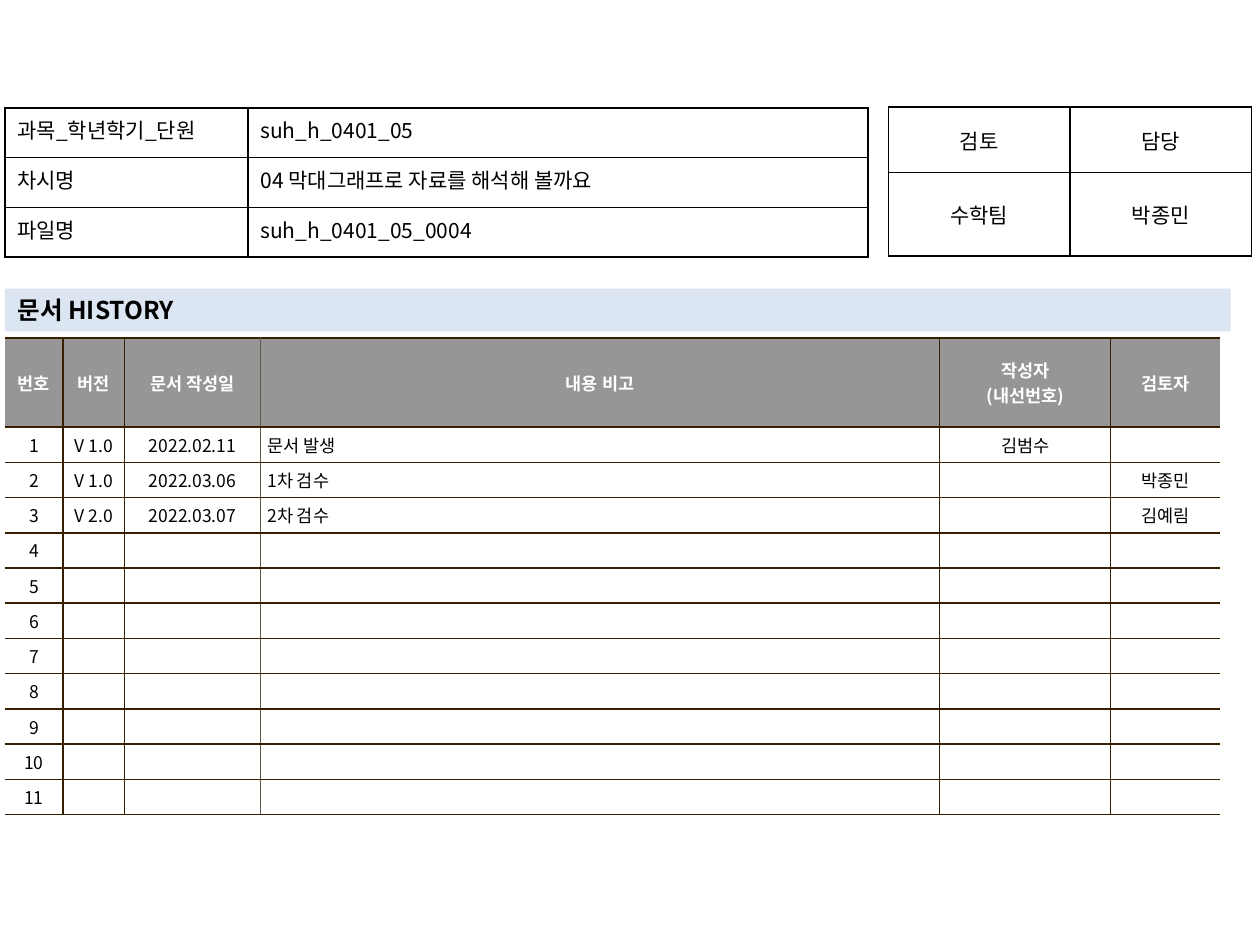
from dataclasses import dataclass

from lxml.etree import SubElement
from pptx import Presentation
from pptx.dml.color import RGBColor
from pptx.enum.text import MSO_ANCHOR, MSO_AUTO_SIZE, PP_ALIGN
from pptx.oxml.ns import qn
from pptx.slide import Slide
from pptx.table import _Cell
from pptx.text.text import _Paragraph
from pptx.util import Cm, Pt

FONT = "Noto Sans CJK KR"
BLACK = RGBColor(0x00, 0x00, 0x00)
WHITE = RGBColor(0xFF, 0xFF, 0xFF)
HEADER_GRAY = RGBColor(0x96, 0x96, 0x96)
BANNER_BLUE = RGBColor(0xDC, 0xE6, 0xF2)
BROWN = RGBColor(0x36, 0x20, 0x00)
TAUPE = RGBColor(0x64, 0x5B, 0x4C)
LEFT, CENTER, JUSTIFY = PP_ALIGN.LEFT, PP_ALIGN.CENTER, PP_ALIGN.JUSTIFY


@dataclass
class CellStyle:
    size: int = 12
    color: RGBColor = BLACK
    bold: bool = False
    fill: RGBColor | None = None
    anchor: MSO_ANCHOR = MSO_ANCHOR.TOP
    margin_x: float = 0.25
    margin_y: float = 0.13


@dataclass
class Grid:
    """A table in centimetres; edges holds one colour (or None) per vertical rule."""
    left: float
    top: float
    columns: list[float]
    rows: list[float]
    texts: list[list[str]]
    alignments: list[PP_ALIGN]
    edges: list[RGBColor | None]
    rule: RGBColor
    body: CellStyle
    header: CellStyle | None = None


def add_text(paragraph: _Paragraph, text: str, size: int, color: RGBColor, bold: bool) -> None:
    run = paragraph.add_run()
    run.text = text
    run.font.size = Pt(size)
    run.font.bold = bold
    run.font.name = FONT
    run.font.color.rgb = color
    SubElement(run.font._element, qn("a:ea"), typeface=FONT)


def set_borders(cell: _Cell, borders: dict[str, RGBColor | None]) -> None:
    properties = cell._tc.get_or_add_tcPr()
    for position, (side, color) in enumerate(borders.items()):
        line = SubElement(properties, qn(f"a:ln{side}"), w=str(Pt(1)))
        if color is None:
            SubElement(line, qn("a:noFill"))
        else:
            solid = SubElement(line, qn("a:solidFill"))
            SubElement(solid, qn("a:srgbClr"), val=str(color))
        properties.insert(position, line)


def fill_cell(cell: _Cell, text: str, alignment: PP_ALIGN, style: CellStyle) -> None:
    cell.vertical_anchor = style.anchor
    cell.margin_left = cell.margin_right = Cm(style.margin_x)
    cell.margin_top = cell.margin_bottom = Cm(style.margin_y)
    if style.fill is None:
        cell.fill.background()
    else:
        cell.fill.solid()
        cell.fill.fore_color.rgb = style.fill
    frame = cell.text_frame
    if not text:
        # An empty cell keeps the row height only if its end mark has the text size.
        SubElement(frame.paragraphs[0]._p, qn("a:endParaRPr"), sz=str(style.size * 100))
        return
    for number, line in enumerate(text.split("\n")):
        paragraph = frame.add_paragraph() if number else frame.paragraphs[0]
        paragraph.alignment = alignment
        add_text(paragraph, line, style.size, style.color, style.bold)


def add_grid(slide: Slide, grid: Grid) -> None:
    table = slide.shapes.add_table(
        len(grid.rows), len(grid.columns), Cm(grid.left), Cm(grid.top),
        Cm(sum(grid.columns)), Cm(sum(grid.rows))).table
    table.first_row = table.horz_banding = False
    for column, width in zip(table.columns, grid.columns):
        column.width = Cm(width)
    for row, height in zip(table.rows, grid.rows):
        row.height = Cm(height)
    for row_number, texts in enumerate(grid.texts):
        is_header = grid.header is not None and row_number == 0
        style = grid.header if is_header else grid.body
        for column_number, text in enumerate(texts):
            cell = table.cell(row_number, column_number)
            alignment = CENTER if is_header else grid.alignments[column_number]
            fill_cell(cell, text, alignment, style)
            set_borders(cell, {"L": grid.edges[column_number],
                               "R": grid.edges[column_number + 1],
                               "T": grid.rule, "B": grid.rule})


def add_banner(slide: Slide, text: str) -> None:
    title = slide.shapes.title
    title.left, title.top, title.width, title.height = Cm(0.1), Cm(5.82), Cm(24.71), Cm(0.86)
    title.fill.solid()
    title.fill.fore_color.rgb = BANNER_BLUE
    frame = title.text_frame
    frame.auto_size = MSO_AUTO_SIZE.NONE
    frame.vertical_anchor = MSO_ANCHOR.MIDDLE
    paragraph = frame.paragraphs[0]
    paragraph.alignment = LEFT
    add_text(paragraph, text, 14, BLACK, True)


HISTORY_COUNT = 11
HISTORY_HEADINGS = ["번호", "버전", "문서 작성일", "내용 비고", "작성자\n(내선번호)", "검토자"]
HISTORY_ENTRIES = [
    ["V 1.0", "2022.02.11", "문서 발생", "김범수", ""],
    ["V 1.0", "2022.03.06", "1차 검수", "", "박종민"],
    ["V 2.0", "2022.03.07", "2차 검수", "", "김예림"],
]
HISTORY_ENTRIES += [[""] * 5] * (HISTORY_COUNT - len(HISTORY_ENTRIES))

GRIDS = [
    Grid(left=0.1, top=6.81,
         columns=[1.17, 1.24, 2.74, 13.69, 3.45, 2.21],
         rows=[1.8] + [0.71] * HISTORY_COUNT,
         texts=[HISTORY_HEADINGS] + [[str(number), *entry] for number, entry
                                     in enumerate(HISTORY_ENTRIES, start=1)],
         alignments=[CENTER, CENTER, CENTER, LEFT, CENTER, CENTER],
         edges=[None, BROWN, BROWN, TAUPE, BROWN, BROWN, None], rule=BROWN,
         body=CellStyle(10, BLACK, False, WHITE, MSO_ANCHOR.MIDDLE, 0.14, 0.1),
         header=CellStyle(10, WHITE, True, HEADER_GRAY, MSO_ANCHOR.MIDDLE, 0.14, 0.1)),
    Grid(left=17.91, top=2.16, columns=[3.66] * 2, rows=[1.32, 1.68],
         texts=[["검토", "담당"], ["수학팀", "박종민"]],
         alignments=[CENTER] * 2, edges=[BLACK] * 3, rule=BLACK,
         body=CellStyle(anchor=MSO_ANCHOR.MIDDLE)),
    Grid(left=0.1, top=2.18, columns=[4.9, 12.5], rows=[1] * 3,
         texts=[["과목_학년학기_단원", "suh_h_0401_05"],
                ["차시명", "04 막대그래프로 자료를 해석해 볼까요"],
                ["파일명", "suh_h_0401_05_0004"]],
         alignments=[JUSTIFY, LEFT], edges=[BLACK] * 3, rule=BLACK, body=CellStyle()),
]


def main() -> None:
    presentation = Presentation()
    presentation.slide_width, presentation.slide_height = Cm(25.4), Cm(19.05)
    slide = presentation.slides.add_slide(presentation.slide_layouts[5])
    add_banner(slide, "문서 HISTORY")
    for grid in GRIDS:
        add_grid(slide, grid)
    presentation.save("out.pptx")


if __name__ == "__main__":
    main()
